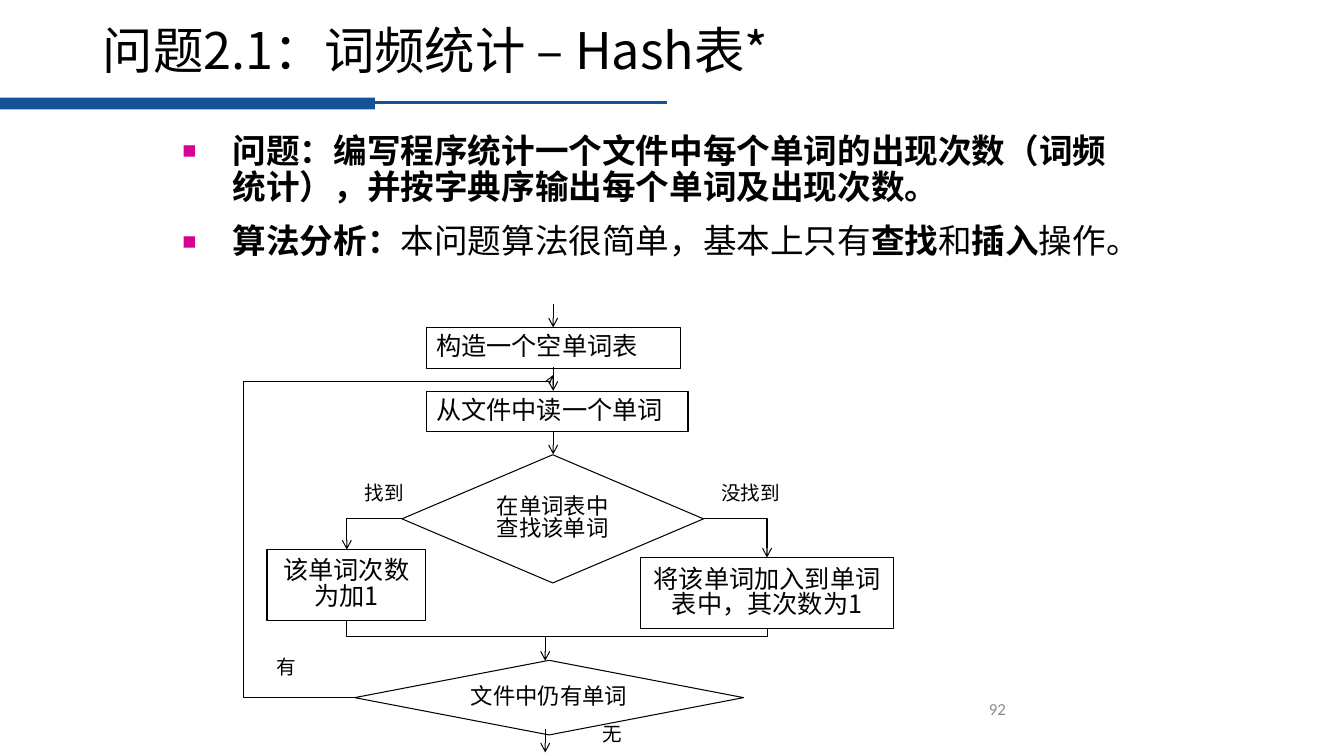
from pptx import Presentation
from pptx.dml.color import RGBColor
from pptx.enum.shapes import MSO_CONNECTOR, MSO_SHAPE
from pptx.enum.text import MSO_ANCHOR, MSO_AUTO_SIZE, PP_ALIGN
from pptx.oxml.ns import qn
from pptx.util import Cm, Pt
from lxml import etree

STRAIGHT, ELBOW = MSO_CONNECTOR.STRAIGHT, MSO_CONNECTOR.ELBOW
RECTANGLE, DECISION = MSO_SHAPE.RECTANGLE, MSO_SHAPE.FLOWCHART_DECISION
LEFT, CENTER, RIGHT = PP_ALIGN.LEFT, PP_ALIGN.CENTER, PP_ALIGN.RIGHT
TOP, MIDDLE = MSO_ANCHOR.TOP, MSO_ANCHOR.MIDDLE

BLACK, WHITE, BLUE, PINK, GRAY = "000000", "FFFFFF", "145396", "D60093", "8C8C8C"
SANS, LATIN = "Noto Sans CJK SC", "Calibri"

# All positions are in centimetres: left, top, width, height
TITLE = "问题2.1：词频统计 – Hash表*"
TITLE_BOX = (2.34, 0.38, 29.21, 1.9)
BODY_BOX = (4.34, 3.25, 24.21, 3.91)
BULLETS = [  # runs of (text, bold)
    [("问题：编写程序统计一个文件中每个单词的出现次数（词频统计），并按字典序输出每个单词及出现次数。", True)],
    [("算法分析：", True), ("本问题算法很简单，基本上只有", False), ("查找", True),
     ("和", False), ("插入", True), ("操作。", False)],
]
PAGE_NUMBER, NUMBER_BOX = "92", (20.32, 17.22, 5.28, 1.27)

STEPS = [  # text, outline, box, alignment, size
    ("构造一个空单词表", RECTANGLE, (10.74, 8.26, 6.4, 1.02), LEFT, 18),
    ("从文件中读一个单词", RECTANGLE, (10.74, 9.86, 6.6, 1.02), LEFT, 18),
    ("在单词表中查找该单词", DECISION, (10.13, 11.46, 7.6, 3.23), CENTER, 16),
    ("将该单词加入到单词表中，其次数为1", RECTANGLE, (16.13, 14.05, 6.4, 1.8), CENTER, 18),
    ("该单词次数为加1", RECTANGLE, (6.73, 13.84, 4, 1.8), CENTER, 18),
    ("文件中仍有单词", DECISION, (8.94, 16.64, 9.8, 1.88), CENTER, 16),
]
ARROW_LENGTH = 0.6
ARROW_STARTS = [(13.94, 7.65), (13.94, 9.25), (13.94, 10.85), (13.74, 16.05), (13.74, 18.36)]
ELBOWS = [  # begin, end before rotation, rotation, preset, adjustments, arrow
    ((17.73, 13.06), (19.33, 14.05), 0, "bentConnector2", (), True),
    ((8.74, 13.85), (10.14, 13.06), 180, "bentConnector2", (), True),
    ((14.14, 10.44), (13.94, 21.03), 270, "bentConnector3", (198100,), False),
    ((13.94, 9.45), (8.94, 17.58), 180, "bentConnector4", (-56200, 97900), True),
]
LABEL_HEIGHT = 0.86
LABELS = [  # text, left, top, width
    ("找到", 8.94, 12.04, 1.5),
    ("没找到", 17.93, 12.04, 2.01),
    ("有", 6.73, 16.43, 1.02),
    ("无", 14.94, 18.11, 1.02),
]


def color(hex_text):
    return RGBColor.from_string(hex_text)


def assign(target, values):
    for name, value in values.items():
        setattr(target, name, value)


def child(parent, tag, **attributes):
    return etree.SubElement(parent, qn(tag), attributes)


def place(shape, box):
    assign(shape, dict(zip(("left", "top", "width", "height"), map(Cm, box))))


def write(paragraph, runs, size, font=SANS, ink=BLACK, **layout):
    assign(paragraph, layout)
    for text, bold in runs:
        run = paragraph.add_run()
        run.text = text
        assign(run.font, {"name": font, "size": Pt(size), "bold": bold})
        run.font.color.rgb = color(ink)
        child(run.font._element, "a:ea", typeface=font)


def frame_of(shape, anchor=MIDDLE, wrap=True):
    frame = shape.text_frame
    assign(frame, {"word_wrap": wrap, "auto_size": MSO_AUTO_SIZE.NONE, "vertical_anchor": anchor})
    return frame


def add_text(box, text, size, wrap=True, **style):
    text_box = slide.shapes.add_textbox(*map(Cm, box))
    write(frame_of(text_box, wrap=wrap).paragraphs[0], [(text, False)], size, **style)


def add_filled(outline, box, fill):
    shape = slide.shapes.add_shape(outline, *map(Cm, box))
    shape.shadow.inherit = False
    shape.fill.solid()
    shape.fill.fore_color.rgb = color(fill)
    return shape


def add_line(begin, end, kind=STRAIGHT, ink=BLACK, width=0.75, arrow=False):
    connector = slide.shapes.add_connector(kind, *map(Cm, begin + end))
    connector.line.width = Pt(width)
    connector.line.color.rgb = color(ink)
    child(connector._element.spPr, "a:effectLst")
    if arrow:
        child(connector.line._get_or_add_ln(), "a:tailEnd", type="arrow")
    return connector


def add_elbow(begin, end, rotation, preset, adjustments, arrow):
    properties = add_line(begin, end, ELBOW, arrow=arrow)._element.spPr
    properties.find(qn("a:xfrm")).set("rot", str(rotation * 60000))
    geometry = properties.find(qn("a:prstGeom"))
    geometry.set("prst", preset)
    for number, value in enumerate(adjustments, 1):
        child(geometry.find(qn("a:avLst")), "a:gd", name=f"adj{number}", fmla=f"val {value}")


def add_bullet(paragraph):
    properties = paragraph._p.get_or_add_pPr()
    assign_indent = {"marL": Cm(1.27), "indent": -Cm(1.27)}
    for name, value in assign_indent.items():
        properties.set(name, str(value))
    child(child(properties, "a:buClr"), "a:srgbClr", val=PINK)
    child(properties, "a:buSzPct", val="70000")
    child(properties, "a:buChar", char="■")


presentation = Presentation()
assign(presentation, {"slide_width": Cm(33.87), "slide_height": Cm(19.05)})
slide = presentation.slides.add_slide(presentation.slide_layouts[1])

add_filled(RECTANGLE, (0, 2.46, 9.45, 0.3), BLUE).line.fill.background()
add_line((9.35, 2.59), (16.81, 2.59), ink=BLUE, width=2.25)

title, body = slide.shapes.title, slide.placeholders[1]
place(title, TITLE_BOX)
write(frame_of(title).paragraphs[0], [(TITLE, False)], 36, alignment=LEFT, line_spacing=0.9)

place(body, BODY_BOX)
body_frame = frame_of(body, TOP)
for index, runs in enumerate(BULLETS):
    paragraph = body_frame.add_paragraph() if index else body_frame.paragraphs[0]
    write(paragraph, runs, 24, font=LATIN, line_spacing=0.9, space_before=Pt(13))
    add_bullet(paragraph)

add_text(NUMBER_BOX, PAGE_NUMBER, 12, font=LATIN, ink=GRAY, alignment=RIGHT)

for text, outline, box, alignment, size in STEPS:
    step = add_filled(outline, box, WHITE)
    step.line.width = Pt(0.75)
    step.line.color.rgb = color(BLACK)
    write(frame_of(step).paragraphs[0], [(text, False)], size,
          alignment=alignment, line_spacing=0.84)

for x, y in ARROW_STARTS:
    add_line((x, y), (x, y + ARROW_LENGTH), arrow=True)
for elbow in ELBOWS:
    add_elbow(*elbow)
for text, left, top, width in LABELS:
    add_text((left, top, width, LABEL_HEIGHT), text, 14, wrap=False, line_spacing=0.84)

presentation.save("out.pptx")
